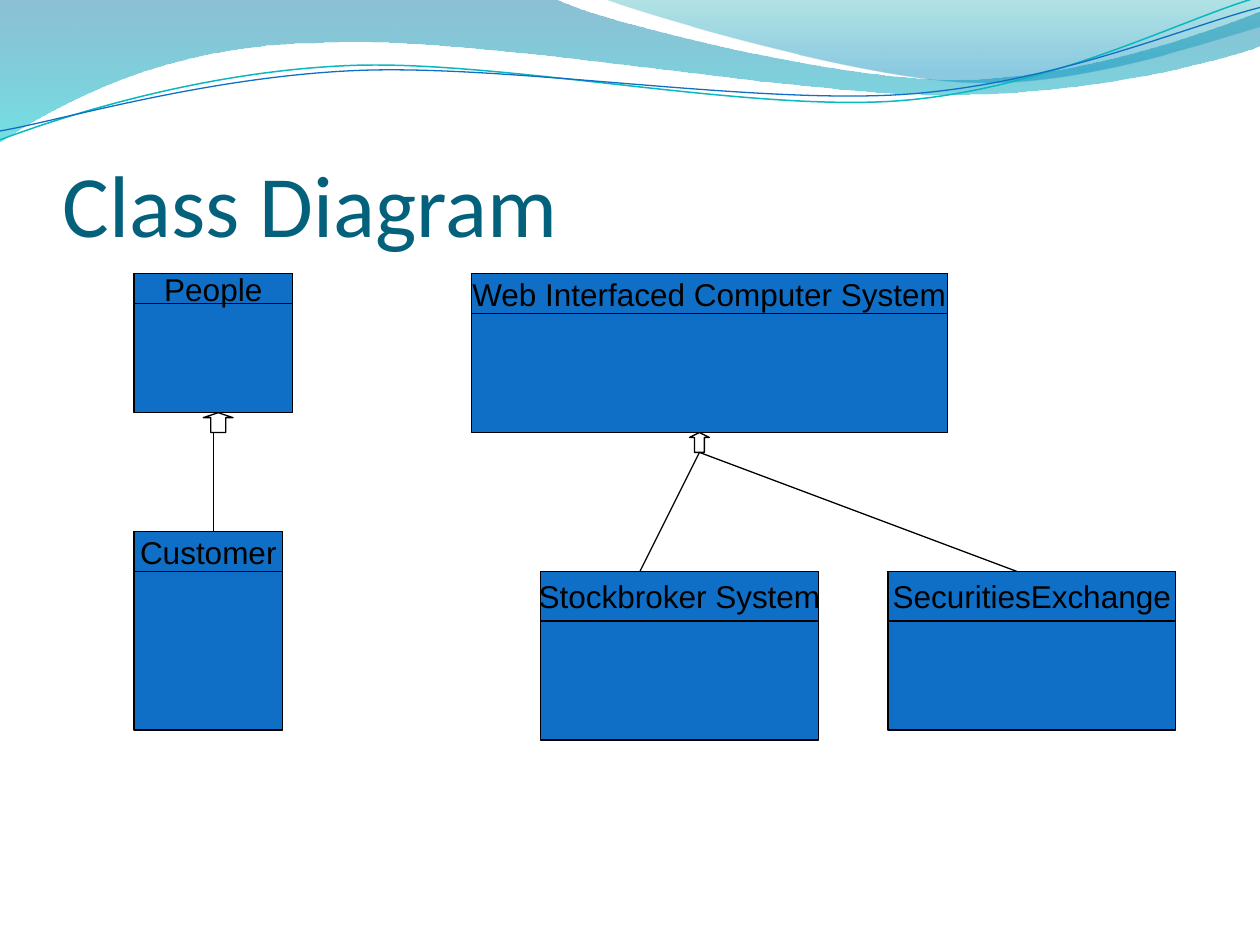
from math import cos, radians, sin

from lxml.etree import SubElement
from pptx import Presentation
from pptx.dml.color import RGBColor
from pptx.enum.shapes import MSO_CONNECTOR, MSO_SHAPE
from pptx.enum.text import MSO_ANCHOR, PP_ALIGN
from pptx.oxml.ns import qn
from pptx.util import Inches, Pt

TITLE = "Class Diagram"

CLASSES = [
    ("People", 0, 0, 16, 14, 3),
    ("Web Interfaced Computer System", 34, 0, 48, 16, 4),
    ("Customer", 0, 26, 15, 20, 4),
    ("Stockbroker System", 41, 30, 28, 17, 5),
    ("SecuritiesExchange", 76, 30, 29, 16, 5),
]
ARROWS = [(7, 14, 3, 2), (56, 16, 2, 2)]
LINKS = [(8, 26, 8, 16), (51, 30, 57, 18), (89, 30, 57, 18)]

BANDS = [
    ([(0, -0.01), (4.4, -0.01), (4.76, 0.17, 6.64, 0.63, 7.58, 0.63),
      (8.53, 0.63, 9.58, 0.26, 10, 0.09), (10.01, 0.36),
      (9.83, 0.44, 8.7, 0.76, 7.46, 0.75),
      (6.22, 0.75, 3.82, 0.28, 2.57, 0.34),
      (1.29, 0.35, 0.46, 0.83, -0.01, 1.13)],
     [(0, "0074A1", 45), (1, "00C6CF", 55)]),
    ([(4.79, -0.01), (5.09, 0.11, 6.82, 0.62, 7.69, 0.65),
      (8.56, 0.69, 9.61, 0.32, 10, 0.21), (10, 0)],
     [(0, "00A1A9", 30), (0.8, "008BBF", 45)]),
]
WAVES = [
    ([(0, 1.11), (0.48, 0.93, 1.58, 0.57, 2.77, 0.52),
      (3.95, 0.47, 5.93, 0.89, 7.13, 0.8),
      (8.33, 0.71, 9.38, 0.15, 9.98, -0.02)], (4.99, 0.57), "0AB8BF", 0.85),
    ([(0, 1.04), (0.47, 0.96, 1.64, 0.61, 2.83, 0.56),
      (4.03, 0.51, 5.97, 0.83, 7.17, 0.75),
      (8.36, 0.67, 9.41, 0.21, 10, 0.06)], (5, 0.59), "0F6FC6", 0.75),
]
TILT = -2.7

THEME = {
    "box": "0F6FC6",
    "ink": "000000",
    "line": 0.75,
    "title": {"name": "Calibri", "size": Pt(50), "color": "04617B"},
    "label": {"name": "Arial", "size": Pt(18), "color": "000000"},
}
WIDTH, HEIGHT = 10, 7.5
CELL = WIDTH / 127
LEFT, TOP = 13.5 * CELL, 27.6 * CELL


def apply(obj, values):
    for key, value in values.items():
        if key == "color":
            obj.color.rgb = RGBColor.from_string(value)
        else:
            setattr(obj, key, value)


def grid(x, y):
    return Inches(LEFT + x * CELL), Inches(TOP + y * CELL)


def size(w, h):
    return Inches(w * CELL), Inches(h * CELL)


def outline(sp, color=THEME["ink"], width=THEME["line"]):
    apply(sp.line, {"color": color, "width": Pt(width)})


def write(sp, text, font, frame, align):
    tf = sp.text_frame
    apply(tf, frame)
    p = tf.paragraphs[0]
    p.alignment = align
    r = p.add_run()
    r.text = text
    apply(r.font, font)


def turn(seg, center, degrees):
    cx, cy = center
    c, n = cos(radians(degrees)), sin(radians(degrees))
    result = []
    for x, y in zip(seg[::2], seg[1::2]):
        dx, dy = x - cx, y - cy
        result += [cx + dx * c - dy * n, cy + dx * n + dy * c]
    return result


def add_curve(s, path, close):
    points = [(Inches(x), Inches(y)) for seg in path
              for x, y in zip(seg[::2], seg[1::2])]
    builder = s.shapes.build_freeform(*points[0])
    builder.add_line_segments(points[1:], close=close)
    sp = builder.convert_to_shape()
    sp.shadow.inherit = False
    lines = iter(list(sp._element.iter(qn("a:lnTo"))))
    for seg in path[1:]:
        first = next(lines)
        if len(seg) == 6:
            first.tag = qn("a:cubicBezTo")
            for _ in range(2):
                extra = next(lines)
                first.append(extra[0])
                extra.getparent().remove(extra)
    return sp


def add_band(s, path, stops):
    sp = add_curve(s, path, True)
    sp.line.fill.background()
    sp.fill.gradient()
    sp.fill.gradient_angle = 270
    for stop, (position, color, _) in zip(sp.fill.gradient_stops, stops):
        apply(stop, {"position": position, "color": color})
    for clr, (_, _, alpha) in zip(sp._element.iter(qn("a:srgbClr")), stops):
        SubElement(clr, qn("a:alpha"), val=str(alpha * 1000))


def add_wave(s, path, center, color, width):
    sp = add_curve(s, [turn(seg, center, -TILT) for seg in path], False)
    sp.rotation = TILT
    sp.fill.background()
    outline(sp, color, width)


def add_preset(s, kind, x, y, w, h, color=None):
    sp = s.shapes.add_shape(kind, *grid(x, y), *size(w, h))
    sp.shadow.inherit = False
    if color:
        sp.fill.solid()
        sp.fill.fore_color.rgb = RGBColor.from_string(color)
    else:
        sp.fill.background()
    outline(sp)
    return sp


def add_class(s, name, x, y, w, h, head):
    add_preset(s, MSO_SHAPE.RECTANGLE, x, y, w, h, THEME["box"])
    sp = add_preset(s, MSO_SHAPE.RECTANGLE, x, y, w, head, THEME["box"])
    write(sp, name, THEME["label"],
          {"word_wrap": False, "vertical_anchor": MSO_ANCHOR.MIDDLE}, PP_ALIGN.CENTER)


def add_link(s, x1, y1, x2, y2):
    sp = s.shapes.add_connector(MSO_CONNECTOR.STRAIGHT, *grid(x1, y1), *grid(x2, y2))
    outline(sp)
    SubElement(sp._element.spPr, qn("a:effectLst"))


def main():
    prs = Presentation()
    apply(prs, {"slide_width": Inches(WIDTH), "slide_height": Inches(HEIGHT)})
    s = prs.slides.add_slide(prs.slide_layouts[6])
    for band in BANDS:
        add_band(s, *band)
    for wave in WAVES:
        add_wave(s, *wave)
    sp = s.shapes.add_textbox(Inches(0.5), Inches(0.77), Inches(9), Inches(1.25))
    write(sp, TITLE, THEME["title"],
          {"word_wrap": True, "vertical_anchor": MSO_ANCHOR.BOTTOM, "margin_left": 0,
           "margin_right": 0, "margin_bottom": 0}, PP_ALIGN.LEFT)
    for item in CLASSES:
        add_class(s, *item)
    for arrow in ARROWS:
        sp = add_preset(s, MSO_SHAPE.UP_ARROW, *arrow)
        sp.adjustments[1] = 0.25
    for link in LINKS:
        add_link(s, *link)
    prs.save("out.pptx")


if __name__ == "__main__":
    main()
